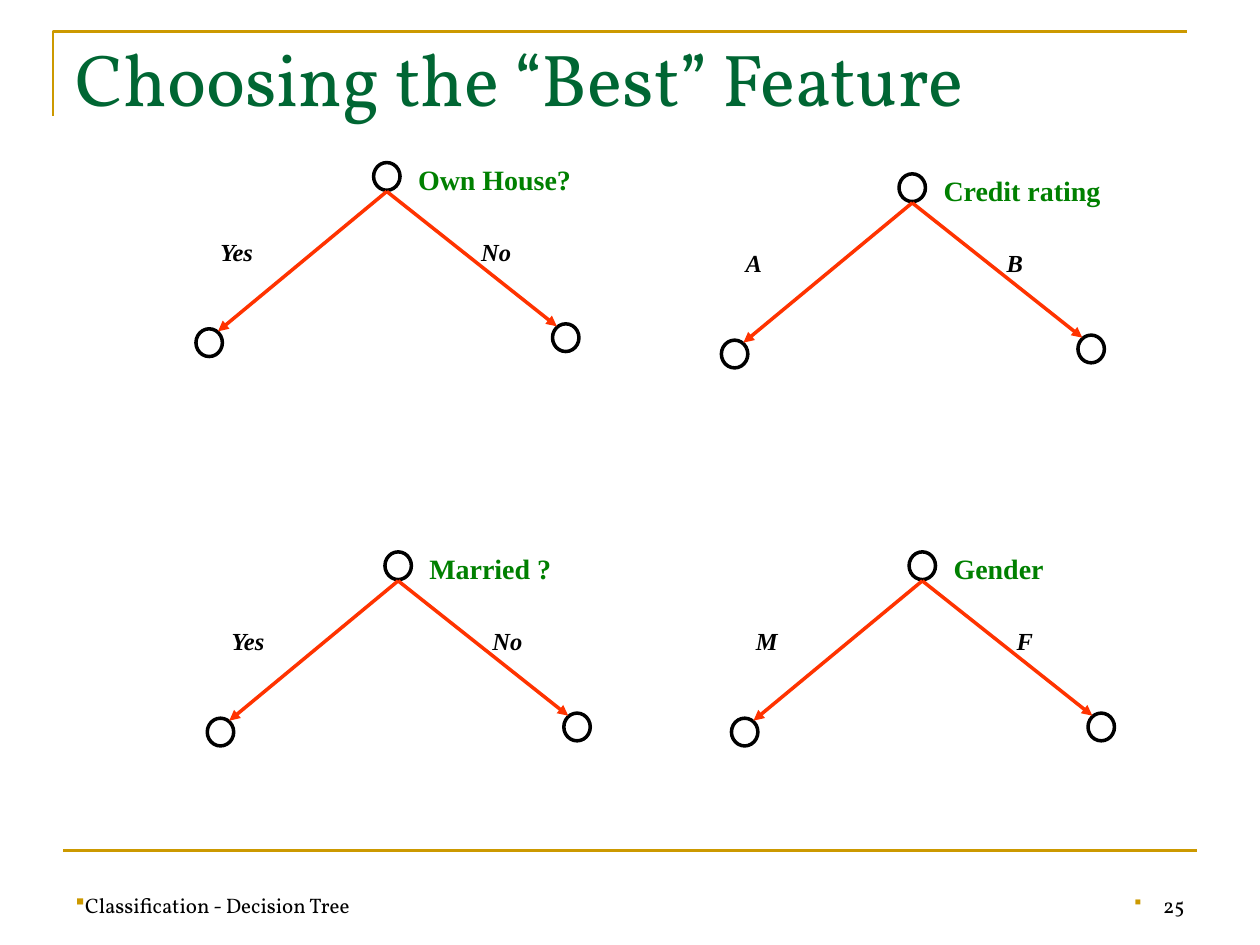
from lxml import etree
from pptx import Presentation
from pptx.dml.color import RGBColor
from pptx.enum.shapes import MSO_CONNECTOR, MSO_SHAPE
from pptx.enum.text import MSO_ANCHOR, MSO_AUTO_SIZE, PP_ALIGN
from pptx.oxml.ns import qn
from pptx.util import Inches, Pt

GOLD = RGBColor(0xCC, 0x99, 0x00)
TITLE_GREEN = RGBColor(0x00, 0x66, 0x33)
QUESTION_GREEN = RGBColor(0x00, 0x80, 0x00)
ARROW_RED = RGBColor(0xFF, 0x33, 0x00)
BLACK = RGBColor(0, 0, 0)
OVAL = MSO_SHAPE.OVAL
STRAIGHT = MSO_CONNECTOR.STRAIGHT
TOP, BOTTOM = MSO_ANCHOR.TOP, MSO_ANCHOR.BOTTOM
LEFT, RIGHT = PP_ALIGN.LEFT, PP_ALIGN.RIGHT
GROW = MSO_AUTO_SIZE.SHAPE_TO_FIT_TEXT
HEADING_FONT, TREE_FONT = "Vollkorn", "Times New Roman"

SLIDE_W, SLIDE_H = 10, 7.5
MARGIN = 0.05 * SLIDE_W
CONTENT_W = SLIDE_W - 2 * MARGIN
NODE_W, NODE_H = 0.21, 0.22

# Root centre x, root top, question and its width, (answer, width) per branch
TREES = [
    (7.32, 4.38, "Gender", 0.92, [("M", 0.38), ("F", 0.33)]),
    (3.16, 4.38, "Married ?", 1.17, [("Yes", 0.48), ("No", 0.44)]),
    (7.24, 1.38, "Credit rating", 1.46, [("A", 0.33), ("B", 0.33)]),
    (3.07, 1.29, "Own House?", 1.42, [("Yes", 0.48), ("No", 0.44)]),
]
# Offsets from the root: leaf centre x, leaf top, arrow tip x and y, answer x
BRANCHES = [(-1.41, 1.32, -1.34, 1.34, -1.42),
            (1.42, 1.28, 1.35, 1.3, 0.65)]


def add_text(shapes, text, x, y, w, h, size, font, color, bold=False,
             italic=False, align=LEFT, anchor=TOP, wrap=True):
    sp = shapes.add_textbox(Inches(x), Inches(y), Inches(w), Inches(h))
    tf = sp.text_frame
    tf.word_wrap = wrap
    if not wrap:
        tf.auto_size = GROW
    tf.vertical_anchor = anchor
    p = tf.paragraphs[0]
    p.text = text
    p.alignment = align
    f = p.runs[0].font
    f.size, f.name, f.bold, f.italic = Pt(size), font, bold, italic
    f.color.rgb = color
    return sp


def add_square_bullet(sp, hang, percent):
    pPr = sp.text_frame.paragraphs[0]._p.get_or_add_pPr()
    pPr.set("marL", str(Inches(hang)))
    pPr.set("indent", str(-Inches(hang)))
    bu_clr = etree.SubElement(pPr, qn("a:buClr"))
    etree.SubElement(bu_clr, qn("a:srgbClr"), val=str(GOLD))
    etree.SubElement(pPr, qn("a:buSzPct"), val=str(percent * 1000))
    etree.SubElement(pPr, qn("a:buFont"), typeface="Wingdings")
    etree.SubElement(pPr, qn("a:buChar"), char="§")


def add_line(shapes, x1, y1, x2, y2, color, width, arrow=False):
    cx = shapes.add_connector(STRAIGHT, Inches(x1), Inches(y1),
                              Inches(x2), Inches(y2))
    cx.line.color.rgb = color
    cx.line.width = Pt(width)
    if arrow:
        etree.SubElement(cx.line._get_or_add_ln(), qn("a:tailEnd"),
                         type="triangle")
    etree.SubElement(cx._element.spPr, qn("a:effectLst"))


def add_node(shapes, center_x, top):
    sp = shapes.add_shape(OVAL, Inches(center_x - NODE_W / 2), Inches(top),
                          Inches(NODE_W), Inches(NODE_H))
    sp.shadow.inherit = False
    sp.fill.background()
    sp.line.color.rgb = BLACK
    sp.line.width = Pt(2)


def add_tree(slide, x, y, question, question_w, answers):
    shapes = slide.shapes.add_group_shape().shapes
    add_node(shapes, x, y)
    for leaf_x, leaf_y, *_ in BRANCHES:
        add_node(shapes, x + leaf_x, y + leaf_y)
    for _, _, tip_x, tip_y, _ in BRANCHES:
        add_line(shapes, x, y + 0.23, x + tip_x, y + tip_y, ARROW_RED, 2, True)
    add_text(shapes, question, x + 0.15, y - 0.05, question_w, 0.37, 16,
             TREE_FONT, QUESTION_GREEN, bold=True, wrap=False)
    for (answer, w), branch in zip(answers, BRANCHES):
        add_text(shapes, answer, x + branch[-1], y + 0.54, w, 0.33, 14,
                 TREE_FONT, BLACK, bold=True, italic=True, wrap=False)


def add_frame(slide):
    fb = slide.shapes.build_freeform(Inches(0.42), Inches(0.92))
    fb.add_line_segments([(Inches(0.42), Inches(0.25)),
                          (Inches(9.42), Inches(0.25))], close=False)
    sp = fb.convert_to_shape()
    sp.shadow.inherit = False
    sp.fill.background()
    sp.line.color.rgb = GOLD
    sp.line.width = Pt(1.5)
    rule_y = 0.9 * SLIDE_H
    add_line(slide.shapes, MARGIN, rule_y, SLIDE_W - MARGIN, rule_y, GOLD, 1.5)


def add_footer(slide):
    y, number_w = 6.83, 2.33
    sp = add_text(slide.shapes, "Classification - Decision Tree", MARGIN, y,
                  6.08, 0.5, 12, HEADING_FONT, BLACK, anchor=BOTTOM)
    add_square_bullet(sp, 0, 100)
    sp = add_text(slide.shapes, "25", SLIDE_W - MARGIN - number_w, y, number_w,
                  0.5, 12, HEADING_FONT, BLACK, align=RIGHT, anchor=BOTTOM)
    add_square_bullet(sp, 0.23, 80)


def main():
    prs = Presentation()
    prs.slide_width, prs.slide_height = Inches(SLIDE_W), Inches(SLIDE_H)
    slide = prs.slides.add_slide(prs.slide_layouts[6])

    # Frame, footer and title
    add_frame(slide)
    add_footer(slide)
    add_text(slide.shapes, "Choosing the “Best” Feature", MARGIN, 0.21,
             CONTENT_W, 0.67, 42, HEADING_FONT, TITLE_GREEN)

    # Four candidate splits
    for tree in TREES:
        add_tree(slide, *tree)

    prs.save("out.pptx")


main()
